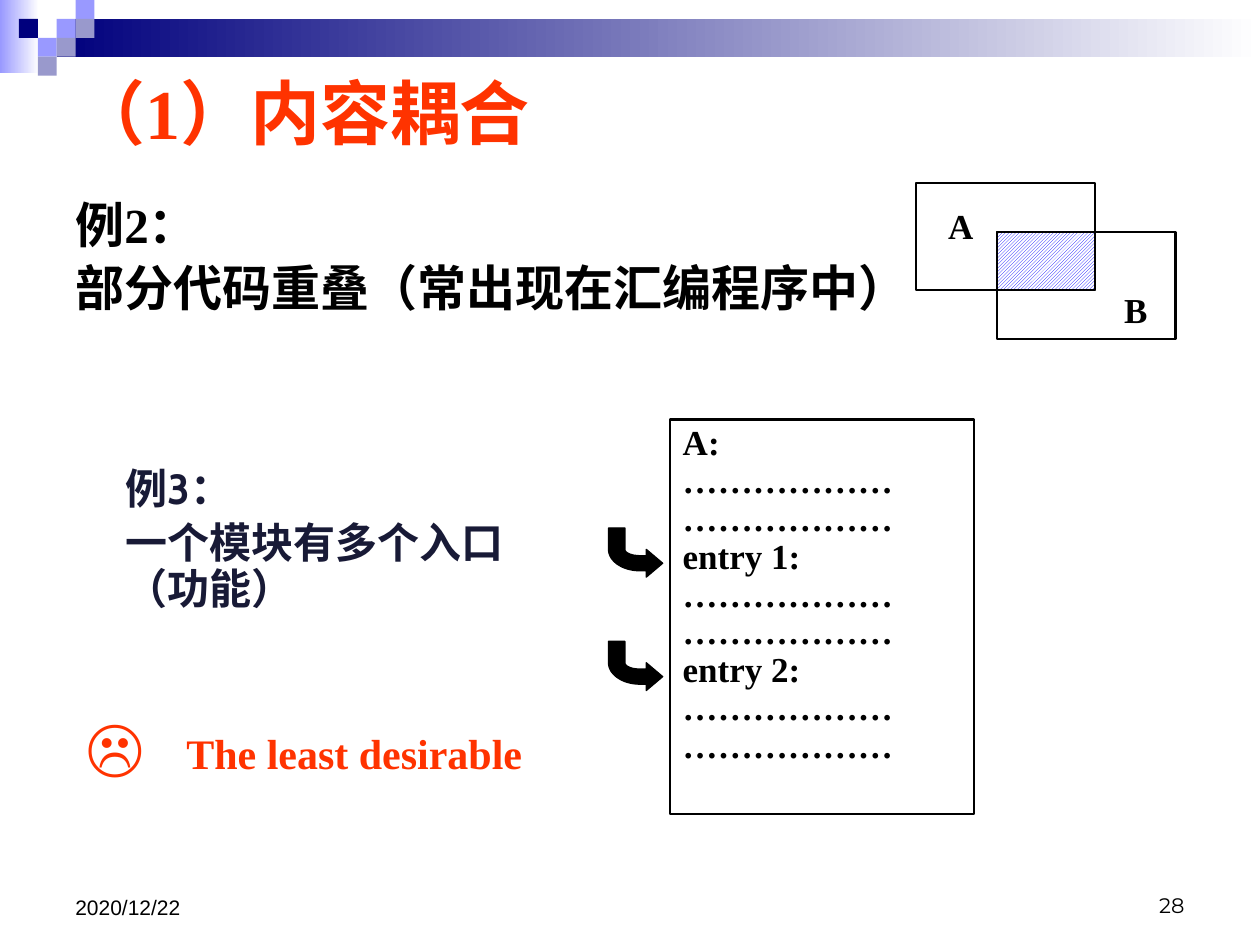
import math
from dataclasses import dataclass

import lxml.etree
import pptx
import pptx.dml.color
import pptx.enum.dml
import pptx.enum.shapes
import pptx.enum.text
import pptx.oxml.ns
import pptx.util

Inches = pptx.util.Inches
Pt = pptx.util.Pt
Align = pptx.enum.text.PP_ALIGN
Anchor = pptx.enum.text.MSO_ANCHOR
RECTANGLE = pptx.enum.shapes.MSO_SHAPE.RECTANGLE
color = pptx.dml.color.RGBColor.from_string


@dataclass(frozen=True)
class Theme:
    black: str = "000000"
    white: str = "FFFFFF"
    navy: str = "00007D"
    periwinkle: str = "9999FF"
    lavender: str = "9999CC"
    accent: str = "FF3300"
    ink: str = "181A36"
    hatch: str = "0000FF"
    serif: str = "Times New Roman"
    title: int = 40
    face: int = 36
    body: int = 28
    example: int = 24
    code: int = 20
    footer: int = 12


theme = Theme()


def add_box(left, top, width, height, fill=None, line=None):
    shape = slide.shapes.add_shape(
        RECTANGLE, Inches(left), Inches(top), Inches(width), Inches(height))
    shape.shadow.inherit = False
    if fill:
        shape.fill.solid()
        shape.fill.fore_color.rgb = color(fill)
    else:
        shape.fill.background()
    if line:
        shape.line.color.rgb = color(line)
        shape.line.width = Pt(1.25)
    else:
        shape.line.fill.background()
    return shape


def write(text, place=None, shape=None, size=theme.code, font=theme.serif,
          fill=theme.black, bold=True, align=Align.LEFT, anchor=Anchor.TOP,
          spacing=1.0, before=0, inset=0.1):
    if shape is None:
        shape = slide.shapes.add_textbox(*[Inches(value) for value in place])
    frame = shape.text_frame
    frame.word_wrap = True
    frame.vertical_anchor = anchor
    frame.margin_left = Inches(inset)
    for index, line in enumerate(text.split("\n")):
        paragraph = frame.paragraphs[0] if index == 0 else frame.add_paragraph()
        paragraph.alignment = align
        paragraph.line_spacing = spacing
        paragraph.space_before = Pt(before)
        run = paragraph.add_run()
        run.text = line
        run.font.size = Pt(size)
        run.font.name = font
        run.font.bold = bold
        run.font.color.rgb = color(fill)
    return shape


presentation = pptx.Presentation()
presentation.slide_width = Inches(10)
presentation.slide_height = Inches(7.5)
slide = presentation.slides.add_slide(presentation.slide_layouts[6])

for place, start in [((0, 0, 0.31, 0.58), theme.periwinkle),
                     ((0.45, 0.15, 9.55, 0.3), theme.navy)]:
    band = add_box(*place)
    band.fill.gradient()
    band.fill.gradient_angle = 0
    for stop, shade, position in zip(band.fill.gradient_stops, (start, theme.white), (0, 1)):
        stop.color.rgb = color(shade)
        stop.position = position

tile = 0.15
for column, row, shade in [(3, 1, theme.periwinkle), (4, 0, theme.periwinkle),
                           (4, 1, theme.lavender), (2, 2, theme.periwinkle),
                           (1, 1, theme.navy), (3, 2, theme.lavender),
                           (2, 3, theme.lavender)]:
    add_box(column * tile, row * tile, tile, tile, fill=shade)

write("28", (7.17, 6.83, 2.33, 0.5), size=theme.footer, font="Montserrat",
      bold=False, align=Align.RIGHT, anchor=Anchor.BOTTOM)
write("2020/12/22", (0.5, 6.83, 2.33, 0.52), size=theme.footer, font="Arial",
      bold=False, anchor=Anchor.BOTTOM)
write("（1）内容耦合", (0.5, 0.44, 9, 0.89), size=theme.title,
      fill=theme.accent, anchor=Anchor.MIDDLE)
write("例2：\n部分代码重叠（常出现在汇编程序中）", (0.5, 1.55, 8.99, 5.51),
      size=theme.body, spacing=0.9, before=5.6)

write("B", (8.62, 1.91, 0.79, 0.78), align=Align.CENTER, spacing=2.0)
write("A", (7.13, 1.31, 0.79, 0.78), align=Align.CENTER, spacing=1.8, inset=0.3)
for left, top in [(7.27, 1.45), (7.91, 1.84)]:
    add_box(left, top, 1.42, 0.85, line=theme.black)
overlap = add_box(7.91, 1.84, 0.78, 0.46, line=theme.black)
overlap.fill.patterned()
overlap.fill.pattern = pptx.enum.dml.MSO_PATTERN.DARK_UPWARD_DIAGONAL
overlap.fill.fore_color.rgb = color(theme.hatch)
overlap.fill.back_color.rgb = color(theme.white)

write("例3：\n一个模块有多个入口（功能）", (0.9, 3.67, 3.22, 1.49), size=theme.example,
      font="Cabin", fill=theme.ink, spacing=0.9, before=4.8)

dots = "………………"
code_lines = [line for label in ("A:", "entry 1:", "entry 2:") for line in (label, dots, dots)]
code_box = add_box(5.32, 3.33, 2.41, 3.13, fill=theme.white, line=theme.black)
write("\n".join(code_lines), shape=code_box, align=Align.JUSTIFY, spacing=0.9)

angles = [math.radians(degrees) for degrees in range(0, 91, 6)]
outer = [(0.25 - 0.25 * math.sin(angle), 0.17 + 0.17 * math.cos(angle)) for angle in angles]
inner = [(0.25 - 0.12 * math.cos(angle), 0.17 + 0.05 * math.sin(angle)) for angle in angles]
outline = [(0.43, 0.28), (0.3, 0.39), (0.3, 0.34), *outer, (0, 0), (0.13, 0),
           *inner, (0.3, 0.22), (0.3, 0.17)]
for top in (4.19, 5.09):
    points = [(Inches(4.83 + x), Inches(top + y)) for x, y in outline]
    builder = slide.shapes.build_freeform(*points[0])
    builder.add_line_segments(points[1:], close=True)
    arrow = builder.convert_to_shape()
    arrow.shadow.inherit = False
    arrow.fill.solid()
    arrow.fill.fore_color.rgb = color(theme.black)
    arrow.line.color.rgb = color(theme.black)
    arrow.line.width = Pt(0.75)

verdict = write("☹\t", (0.59, 5.56, 3.92, 0.7), size=theme.face, fill=theme.accent)
paragraph = verdict.text_frame.paragraphs[0]
run = paragraph.add_run()
run.text = "The least desirable"
run.font.size = Pt(theme.example)
run.font.name = theme.serif
run.font.bold = True
run.font.color.rgb = color(theme.accent)
qualified = pptx.oxml.ns.qn
tabs = lxml.etree.SubElement(paragraph._p.get_or_add_pPr(), qualified("a:tabLst"))
lxml.etree.SubElement(tabs, qualified("a:tab"), pos=str(Inches(0.79)), algn="l")

presentation.save("out.pptx")
